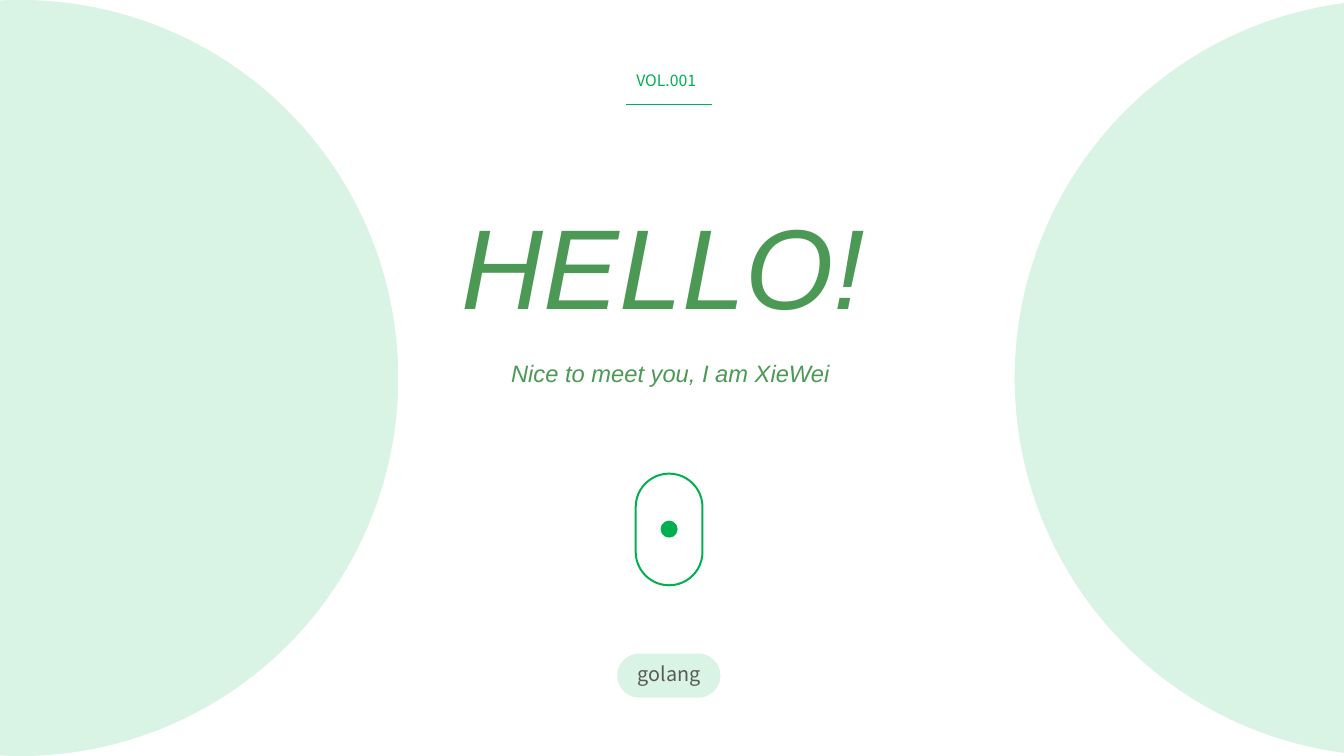
from lxml import etree
from pptx import Presentation
from pptx.dml.color import RGBColor
from pptx.enum.shapes import MSO_CONNECTOR, MSO_SHAPE as SHAPE
from pptx.enum.text import MSO_ANCHOR, MSO_AUTO_SIZE, PP_ALIGN
from pptx.oxml.ns import qn
from pptx.util import Inches, Pt

W, H = Inches(18.9), Inches(10.63)
GREEN = RGBColor(0x00, 0xB0, 0x50)
LEAF = RGBColor(0x4C, 0x99, 0x55)
GRAY = RGBColor(0x59, 0x59, 0x59)
SANS, CJK = "Arial", "Noto Sans CJK SC"


def across(pct):
    return round(W * pct / 100)


def down(pct):
    return round(H * pct / 100)


def place(left, top, width, height):
    return across(left), down(top), across(width), down(height)


def add_figure(slide, kind, box, fill=None, alpha=None, line=None):
    sp = slide.shapes.add_shape(kind, *box)
    sp.shadow.inherit = False
    if kind == SHAPE.ROUNDED_RECTANGLE:
        sp.adjustments[0] = 0.5
    if fill is None:
        sp.fill.background()
    else:
        sp.fill.solid()
        sp.fill.fore_color.rgb = fill
    if alpha is not None:
        color = sp.fill._xPr.find(qn("a:solidFill"))[0]
        etree.SubElement(color, qn("a:alpha")).set("val", str(alpha * 1000))
    if line is None:
        sp.line.fill.background()
    else:
        sp.line.color.rgb = line
        sp.line.width = Pt(2)
    return sp


def add_rule(slide, left, right, y):
    cx = slide.shapes.add_connector(
        MSO_CONNECTOR.STRAIGHT, across(left), down(y), across(right), down(y))
    cx.line.color.rgb = GREEN
    cx.line.width = Pt(0.5)
    etree.SubElement(cx._element.spPr, qn("a:effectLst"))


def write(sp, text, size, color, font=SANS, italic=False):
    tf = sp.text_frame
    tf.word_wrap = False
    tf.auto_size = MSO_AUTO_SIZE.SHAPE_TO_FIT_TEXT
    tf.vertical_anchor = MSO_ANCHOR.TOP
    p = tf.paragraphs[0]
    p.alignment = PP_ALIGN.LEFT
    r = p.add_run()
    r.text = text
    r.font.size = Pt(size)
    r.font.name = font
    r.font.italic = italic
    r.font.color.rgb = color
    r_pr = r.font._element
    etree.SubElement(r_pr, qn("a:ea")).set("typeface", font)


def add_label(slide, box, text, **style):
    write(slide.shapes.add_textbox(*box), text, **style)


def set_title(slide, box, text, **style):
    sp = slide.shapes.title
    sp.left, sp.top, sp.width, sp.height = box
    write(sp, text, **style)


def add_side_circles(slide):
    for left in (-26.61, 75.5):
        add_figure(slide, SHAPE.OVAL, (across(left), 0, H, H), GREEN, alpha=15)


def add_mouse(slide):
    add_figure(slide, SHAPE.ROUNDED_RECTANGLE,
               place(47.3, 62.65, 4.97, 14.77), line=GREEN)
    add_figure(slide, SHAPE.OVAL, place(49.15, 68.86, 1.27, 2.26), GREEN)


def main():
    prs = Presentation()
    prs.slide_width, prs.slide_height = W, H
    slide = prs.slides.add_slide(prs.slide_layouts[5])

    add_side_circles(slide)
    add_label(slide, place(46.83, 8.94, 6.24, 3.48), "VOL.001",
              size=16, color=GREEN, font=CJK)
    add_rule(slide, 46.61, 52.96, 13.73)
    set_title(slide, place(33.81, 25.49, 33.81, 19.19), "HELLO!",
              size=115, color=LEAF, italic=True)
    add_label(slide, place(37.51, 47.04, 25.03, 4.7),
              "Nice to meet you, I am XieWei",
              size=24, color=LEAF, italic=True)
    add_mouse(slide)
    add_figure(slide, SHAPE.ROUNDED_RECTANGLE,
               place(45.93, 86.45, 7.67, 5.83), GREEN, alpha=15)
    add_label(slide, place(46.93, 87.11, 5.93, 4.14), "golang",
              size=20, color=GRAY, font=CJK)

    prs.save("out.pptx")


if __name__ == "__main__":
    main()
